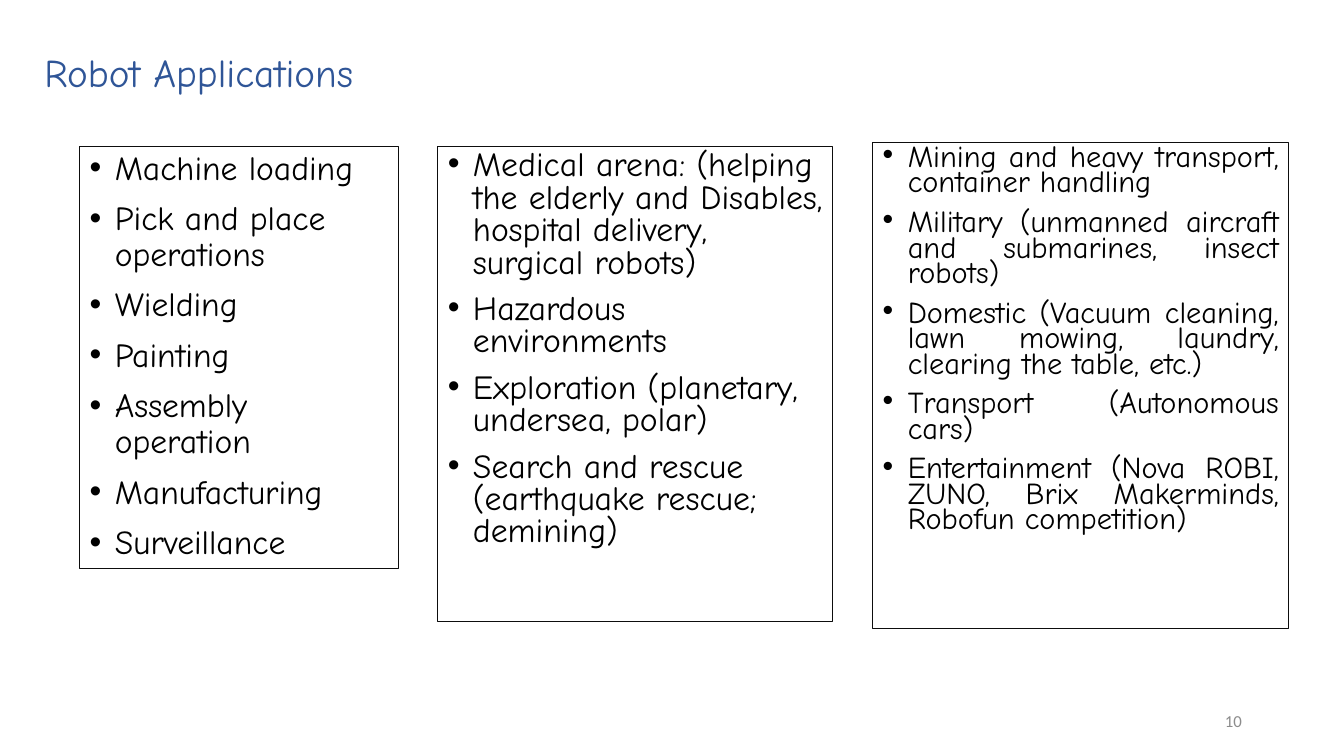
from dataclasses import dataclass

import pptx
import pptx.dml.color
import pptx.enum.text
import pptx.oxml
import pptx.oxml.ns
import pptx.util

ALIGN = pptx.enum.text.PP_ALIGN
ANCHOR = pptx.enum.text.MSO_ANCHOR


@dataclass(frozen=True)
class Theme:
    heading_font: str = "Comic Neue"
    number_font: str = "Calibri"
    heading: str = "2F5597"
    body: str = "000000"
    border: str = "0D0D0D"
    number: str = "8C8C8C"
    heading_size: float = 28
    number_size: float = 12
    border_width: float = 0.75
    paragraph_gap: float = 10
    bullet_indent: float = 0.25


@dataclass(frozen=True)
class Panel:
    """One bordered list; top, width and height are in percent of the slide."""
    top: float
    width: float
    height: float
    size: float
    spacing: float
    align: ALIGN
    items: tuple


THEME = Theme()
SLIDE_WIDTH = pptx.util.Inches(13.33)
SLIDE_HEIGHT = pptx.util.Inches(7.5)
PANELS_LEFT, PANEL_GAP = 5.93, 2.95

PANELS = (
    Panel(19.33, 23.7, 55.87, 24, 0.9, ALIGN.LEFT, (
        "Machine loading",
        "Pick and place operations",
        "Wielding",
        "Painting",
        "Assembly operation",
        "Manufacturing",
        "Surveillance",
    )),
    Panel(19.33, 29.4, 62.93, 24.1, 0.8, ALIGN.LEFT, (
        "Medical arena: (helping the elderly and Disables, "
        "hospital delivery, surgical robots)",
        "Hazardous environments",
        "Exploration (planetary, undersea, polar)",
        "Search and rescue (earthquake rescue; demining)",
    )),
    Panel(18.8, 30.97, 64.4, 21.7, 0.7, ALIGN.JUSTIFY, (
        "Mining and heavy transport, container handling",
        "Military (unmanned aircraft and submarines, insect robots)",
        "Domestic (Vacuum cleaning, lawn mowing, laundry, "
        "clearing the table, etc.)",
        "Transport (Autonomous cars)",
        "Entertainment (Nova ROBI, ZUNO, Brix Makerminds, "
        "Robofun competition)",
    )),
)


def grid_box(left, top, width, height):
    """Turn percentages of the slide into lengths."""
    return (int(SLIDE_WIDTH * left / 100), int(SLIDE_HEIGHT * top / 100),
            int(SLIDE_WIDTH * width / 100), int(SLIDE_HEIGHT * height / 100))


def style_paragraph(paragraph, face, size, color, align, spacing=1.0):
    paragraph.font.name = face
    paragraph.font.size = pptx.util.Pt(size)
    paragraph.font.color.rgb = pptx.dml.color.RGBColor.from_string(color)
    paragraph.alignment = align
    paragraph.line_spacing = spacing


def add_bullet(paragraph):
    properties = paragraph._p.get_or_add_pPr()
    indent = pptx.util.Inches(THEME.bullet_indent)
    properties.set("marL", str(indent))
    properties.set("indent", str(-indent))
    namespace = pptx.oxml.ns.nsdecls("a")
    bullet_parts = (f'<a:buFont {namespace} typeface="Arial"/>',
                    f'<a:buChar {namespace} char="•"/>')
    following = properties.find(pptx.oxml.ns.qn("a:defRPr"))
    for markup in bullet_parts:
        part = pptx.oxml.parse_xml(markup)
        if following is None:
            properties.append(part)
        else:
            following.addprevious(part)


def place_heading(heading, box, text):
    heading.left, heading.top, heading.width, heading.height = box
    frame = heading.text_frame
    frame.text = text
    frame.word_wrap = True
    frame.auto_size = pptx.enum.text.MSO_AUTO_SIZE.NONE
    frame.vertical_anchor = ANCHOR.MIDDLE
    style_paragraph(frame.paragraphs[0], THEME.heading_font,
                    THEME.heading_size, THEME.heading, ALIGN.LEFT, 0.9)


def add_panel(slide, box, panel):
    frame_box = slide.shapes.add_textbox(*box)
    frame_box.line.color.rgb = pptx.dml.color.RGBColor.from_string(THEME.border)
    frame_box.line.width = pptx.util.Pt(THEME.border_width)
    frame = frame_box.text_frame
    frame.word_wrap = True
    frame.text = "\n".join(panel.items)
    for paragraph in frame.paragraphs:
        style_paragraph(paragraph, THEME.heading_font, panel.size, THEME.body,
                        panel.align, panel.spacing)
        paragraph.space_before = pptx.util.Pt(THEME.paragraph_gap)
        add_bullet(paragraph)


def add_page_number(slide, box, number):
    frame = slide.shapes.add_textbox(*box).text_frame
    frame.text = str(number)
    frame.word_wrap = True
    frame.vertical_anchor = ANCHOR.MIDDLE
    style_paragraph(frame.paragraphs[0], THEME.number_font, THEME.number_size,
                    THEME.number, ALIGN.RIGHT)


def build_applications_slide(deck):
    title_only = deck.slide_layouts[5]
    slide = deck.slides.add_slide(title_only)
    place_heading(slide.shapes.title, grid_box(2.55, 3.87, 86.25, 12),
                  "Robot Applications")
    left = PANELS_LEFT
    for panel in PANELS:
        add_panel(slide, grid_box(left, panel.top, panel.width, panel.height),
                  panel)
        left += panel.width + PANEL_GAP
    add_page_number(slide, grid_box(70.65, 92.67, 22.5, 5.33), 10)


def main():
    deck = pptx.Presentation()
    deck.slide_width, deck.slide_height = SLIDE_WIDTH, SLIDE_HEIGHT
    build_applications_slide(deck)
    deck.save("out.pptx")


if __name__ == "__main__":
    main()
